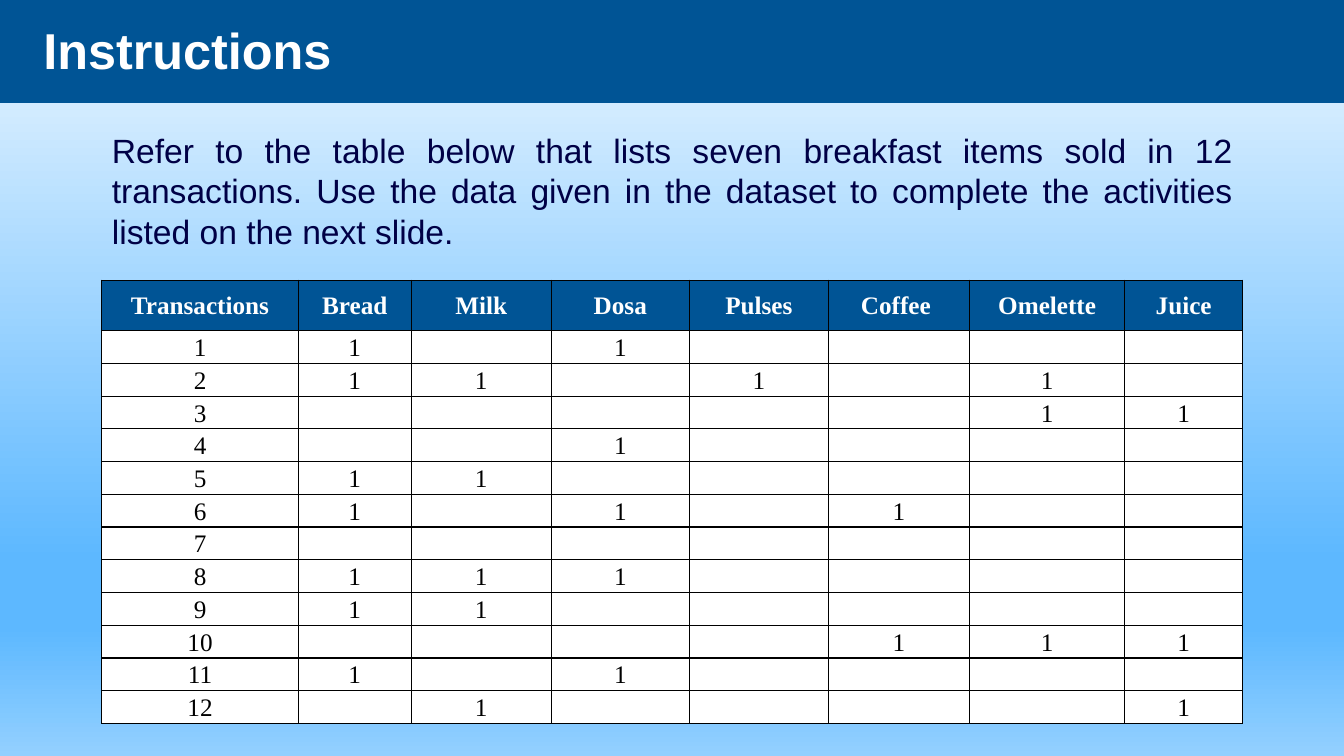
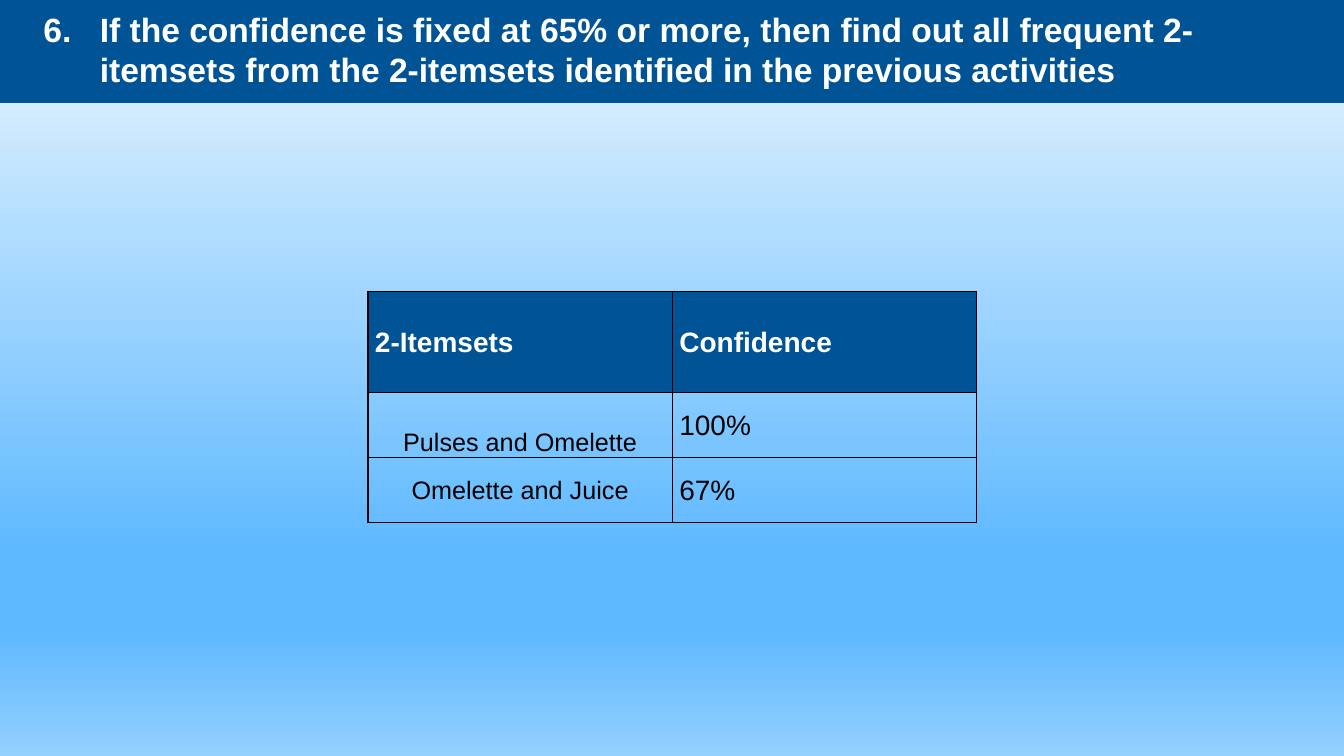
from dataclasses import dataclass

from lxml import etree
from pptx import Presentation
from pptx.dml.color import RGBColor
from pptx.enum import shapes, text
from pptx.oxml import parse_xml
from pptx.oxml.ns import nsdecls, qn
from pptx.util import Inches, Pt


@dataclass(frozen=True)
class Theme:
    band: str = "005495"
    white: str = "FFFFFF"
    body: str = "000046"
    black: str = "000000"
    sky: tuple = ((0, "EDF7FF"), (74, "5DB8FF"), (83, "5DB8FF"), (100, "93D0FF"))
    sans: str = "Arial"
    serif: str = "Times New Roman"
    title_size: int = 36
    question_size: int = 24
    body_size: int = 24
    cell_size: int = 18
    large_cell_size: int = 20
    line_spacing: float = 1.07


THEME = Theme()
LAYOUT_CONTENT, LAYOUT_TITLE_ONLY = "Title and Content", "Title Only"
TITLE_BOX = (0.33, 0.08, 12.72, 0.82)
BODY_BOX = (1.01, 1.24, 11.32, 1.2)
BAND_HEIGHT = 1.01

INSTRUCTIONS_TITLE = "Instructions"
INSTRUCTIONS = (
    "Refer to the table below that lists seven breakfast items sold in 12 transactions. "
    "Use the data given in the dataset to complete the activities listed on the next slide."
)
ITEMS = ["Bread", "Milk", "Dosa", "Pulses", "Coffee ", "Omelette", "Juice"]
TRANSACTIONS = [
    ("Bread", "Dosa"),
    ("Bread", "Milk", "Pulses", "Omelette"),
    ("Omelette", "Juice"),
    ("Dosa",),
    ("Bread", "Milk"),
    ("Bread", "Dosa", "Coffee "),
    (),
    ("Bread", "Milk", "Dosa"),
    ("Bread", "Milk"),
    ("Coffee ", "Omelette", "Juice"),
    ("Bread", "Dosa"),
    ("Milk", "Juice"),
]
TRANSACTION_WIDTHS = [1.95, 1.12, 1.39, 1.37, 1.38, 1.4, 1.54, 1.17]

QUESTION = (
    "If the confidence is fixed at 65% or more, then find out all frequent 2-itemsets "
    "from the 2-itemsets identified in the previous activities"
)
QUESTION_NUMBER = 6
CONFIDENCE_ROWS = [
    ["2-Itemsets", "Confidence"],
    ["Pulses and Omelette", "100%"],
    ["Omelette and Juice", "67%"],
]


def place(shape, left, top, width, height):
    shape.left, shape.top = Inches(left), Inches(top)
    shape.width, shape.height = Inches(width), Inches(height)


def style_runs(paragraph, size, color, font=THEME.sans, bold=False):
    for run in paragraph.runs:
        run.font.size = Pt(size)
        run.font.name = font
        run.font.bold = bold
        run.font.color.rgb = RGBColor.from_string(color)


def set_list_style(paragraph, indent, bullet, **attributes):
    properties = paragraph._p.get_or_add_pPr()
    properties.set("marL", str(Inches(indent)))
    properties.set("indent", str(-Inches(indent)))
    etree.SubElement(properties, qn(bullet), attributes)


def trim_template(presentation):
    for layout in list(presentation.slide_layouts):
        if layout.name not in (LAYOUT_CONTENT, LAYOUT_TITLE_ONLY):
            presentation.slide_layouts.remove(layout)
    footers = (
        shapes.PP_PLACEHOLDER.DATE,
        shapes.PP_PLACEHOLDER.FOOTER,
        shapes.PP_PLACEHOLDER.SLIDE_NUMBER,
    )
    master = presentation.slide_master
    for template in (master, *presentation.slide_layouts):
        for placeholder in list(template.placeholders):
            if placeholder.placeholder_format.type in footers:
                placeholder._element.getparent().remove(placeholder._element)
    for placeholder, box in zip(master.placeholders, (TITLE_BOX, BODY_BOX)):
        place(placeholder, *box)


def style_master(presentation, slide):
    master = presentation.slide_master
    stops = "".join(
        f'<a:gs pos="{position * 1000}"><a:srgbClr val="{color}"/></a:gs>'
        for position, color in THEME.sky
    )
    gradient = parse_xml(
        f'<a:gradFill {nsdecls("a")} rotWithShape="1"><a:gsLst>{stops}</a:gsLst>'
        '<a:lin ang="5400000" scaled="0"/></a:gradFill>'
    )
    master.background.fill.solid()
    solid = master._element.cSld.find(".//" + qn("a:solidFill"))
    solid.getparent().replace(solid, gradient)

    band = slide.shapes.add_shape(
        shapes.MSO_SHAPE.RECTANGLE, 0, 0, presentation.slide_width, Inches(BAND_HEIGHT)
    )
    band.shadow.inherit = False
    band.fill.solid()
    band.fill.fore_color.rgb = RGBColor.from_string(THEME.band)
    band.line.color.rgb = RGBColor.from_string(THEME.band)
    band.line.width = Pt(2)
    band._element.nvSpPr.cNvPr.set("id", "20")
    master.shapes._spTree.insert(2, band._element)


def add_slide(presentation, layout, title, size):
    slide = presentation.slides.add_slide(presentation.slide_layouts.get_by_name(layout))
    place(slide.shapes.title, *TITLE_BOX)
    frame = slide.shapes.title.text_frame
    frame.text = title
    frame.auto_size = text.MSO_AUTO_SIZE.NONE
    frame.vertical_anchor = text.MSO_ANCHOR.MIDDLE
    paragraph = frame.paragraphs[0]
    paragraph.alignment = text.PP_ALIGN.LEFT
    style_runs(paragraph, size, THEME.white, bold=True)
    return slide


def style_cell(cell, fill):
    cell.margin_left = cell.margin_right = Inches(0.07)
    cell.margin_top = cell.margin_bottom = 0
    cell.vertical_anchor = text.MSO_ANCHOR.MIDDLE
    if fill:
        cell.fill.solid()
        cell.fill.fore_color.rgb = RGBColor.from_string(fill)
    else:
        cell.fill.background()
    properties = cell._tc.get_or_add_tcPr()
    for index, side in enumerate(("lnL", "lnR", "lnT", "lnB")):
        border = parse_xml(
            f'<a:{side} {nsdecls("a")} w="{Pt(1)}"><a:solidFill>'
            f'<a:srgbClr val="{THEME.black}"/></a:solidFill></a:{side}>'
        )
        properties.insert(index, border)


def add_table(slide, rows, left, top, widths, header_height, height, body_fill=None):
    frame = slide.shapes.add_table(
        len(rows), len(widths), Inches(left), Inches(top),
        Inches(sum(widths)), Inches(height),
    )
    table = frame.table
    table.first_row = table.horz_banding = False
    for column, width in zip(table.columns, widths):
        column.width = Inches(width)
    row_height = (height - header_height) / (len(rows) - 1)
    for row_index, values in enumerate(rows):
        table.rows[row_index].height = Inches(row_height if row_index else header_height)
        for column_index, value in enumerate(values):
            cell = table.cell(row_index, column_index)
            style_cell(cell, body_fill if row_index else THEME.band)
            cell.text_frame.text = value
            cell.text_frame.paragraphs[0].line_spacing = THEME.line_spacing
    return table


def build_instructions(slide):
    body = slide.placeholders[1]
    place(body, *BODY_BOX)
    body.text_frame.text = INSTRUCTIONS
    body.text_frame.auto_size = text.MSO_AUTO_SIZE.NONE
    paragraph = body.text_frame.paragraphs[0]
    paragraph.alignment = text.PP_ALIGN.JUSTIFY
    set_list_style(paragraph, 0, "a:buNone")
    style_runs(paragraph, THEME.body_size, THEME.body)

    rows = [["Transactions", *ITEMS]]
    for number, bought in enumerate(TRANSACTIONS, 1):
        rows.append([str(number), *("1" if item in bought else "" for item in ITEMS)])
    table = add_table(slide, rows, 1.01, 2.78, TRANSACTION_WIDTHS, 0.5, 4.4, THEME.white)
    for row_index, row in enumerate(table.rows):
        header = row_index == 0
        for cell in row.cells:
            paragraph = cell.text_frame.paragraphs[0]
            paragraph.alignment = text.PP_ALIGN.CENTER
            style_runs(paragraph, THEME.cell_size, THEME.white if header else THEME.black,
                       THEME.serif, header)


def build_confidence(slide):
    title = slide.shapes.title.text_frame.paragraphs[0]
    set_list_style(title, 0.56, "a:buAutoNum", type="arabicPeriod",
                   startAt=str(QUESTION_NUMBER))
    table = add_table(slide, CONFIDENCE_ROWS, 3.65, 2.89, [3.02, 3.02], 1, 2.29)
    for row_index, row in enumerate(table.rows):
        header = row_index == 0
        for column_index, cell in enumerate(row.cells):
            itemset = not header and column_index == 0
            paragraph = cell.text_frame.paragraphs[0]
            paragraph.space_after = Pt(8)
            paragraph.alignment = text.PP_ALIGN.CENTER if itemset else text.PP_ALIGN.LEFT
            style_runs(paragraph, THEME.cell_size if itemset else THEME.large_cell_size,
                       THEME.white if header else THEME.black, bold=header)
    first_itemset = table.cell(1, 0)
    first_itemset.vertical_anchor = text.MSO_ANCHOR.BOTTOM
    first_itemset.margin_left = first_itemset.margin_right = Inches(0.01)
    paragraph = first_itemset.text_frame.paragraphs[0]
    paragraph.line_spacing = 1.0
    paragraph.space_after = Pt(0)


def main():
    presentation = Presentation()
    presentation.slide_width, presentation.slide_height = Inches(40 / 3), Inches(7.5)
    trim_template(presentation)
    instructions = add_slide(presentation, LAYOUT_CONTENT, INSTRUCTIONS_TITLE,
                             THEME.title_size)
    style_master(presentation, instructions)
    build_instructions(instructions)
    build_confidence(
        add_slide(presentation, LAYOUT_TITLE_ONLY, QUESTION, THEME.question_size)
    )
    presentation.save("out.pptx")


if __name__ == "__main__":
    main()
